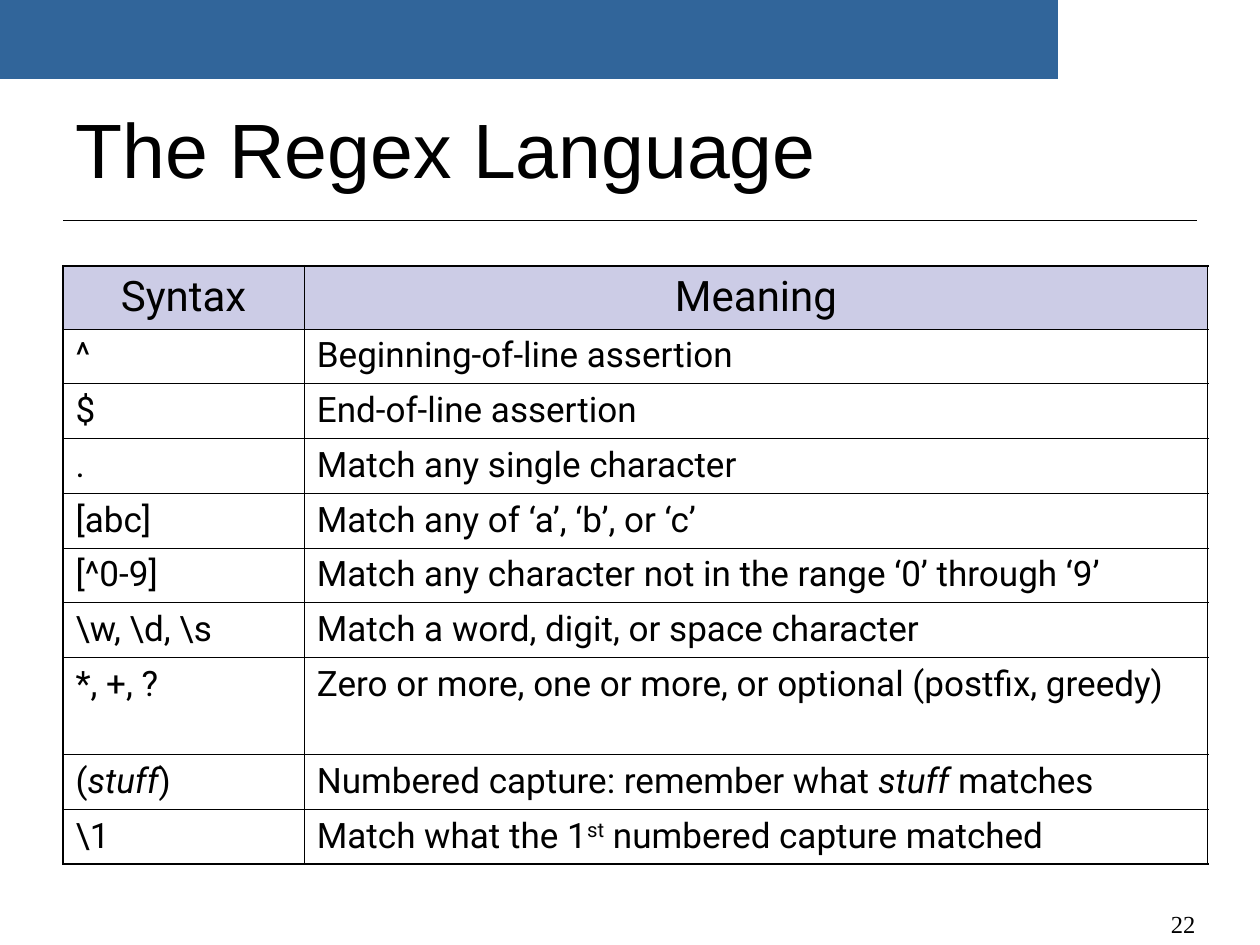
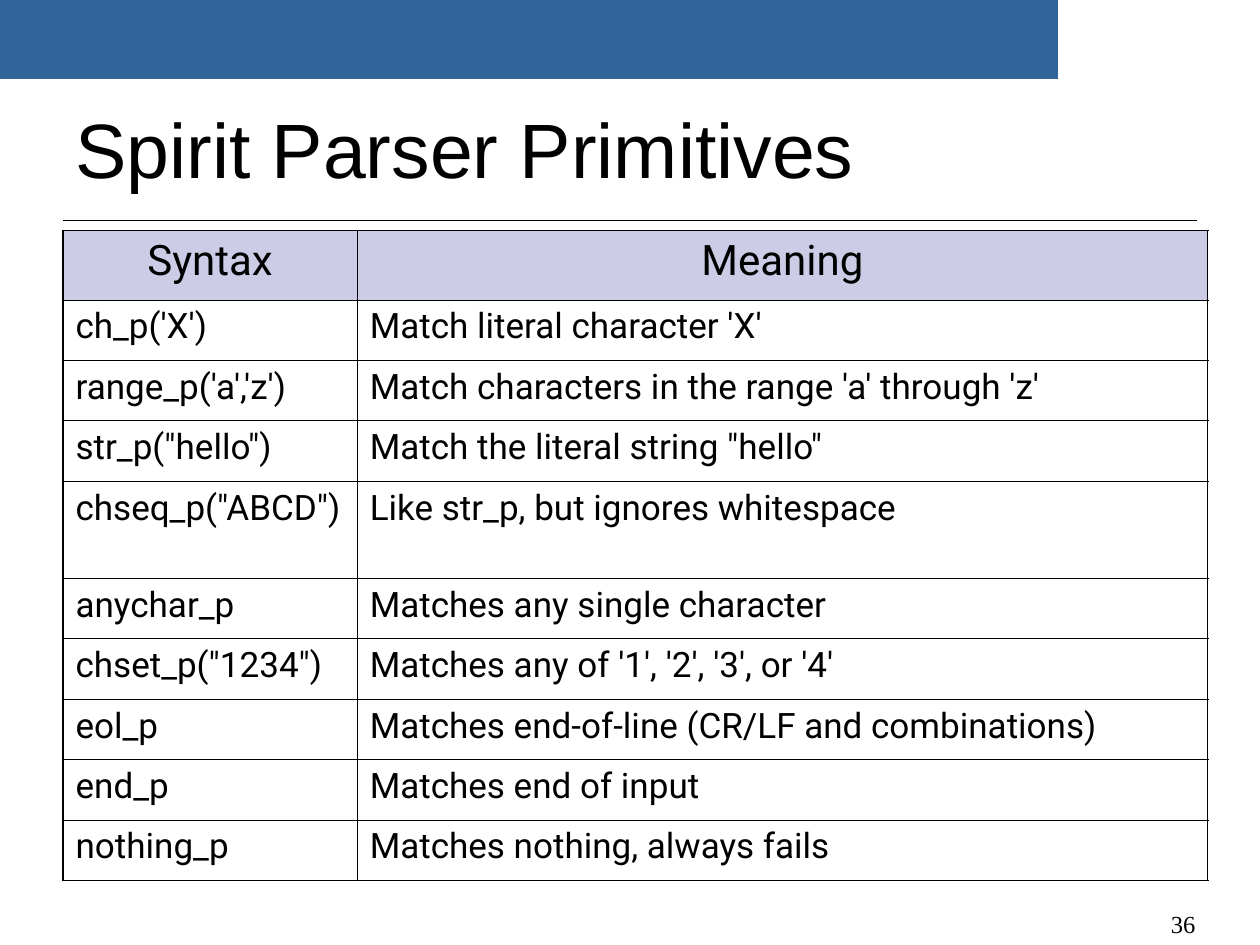
"""Builds two reference slides: regex syntax and Spirit parser primitives."""
from lxml import etree
from pptx import Presentation
from pptx.dml.color import RGBColor
from pptx.enum.shapes import MSO_CONNECTOR, MSO_SHAPE
from pptx.enum.text import MSO_ANCHOR, PP_ALIGN
from pptx.oxml.ns import qn
from pptx.util import Pt

PX = 914400 // 200
PAGE_WIDTH, PAGE_HEIGHT = 2000, 1500

BLACK = RGBColor(0x00, 0x00, 0x00)
BAND_START = RGBColor(0x31, 0x65, 0x9A)
BAND_END = RGBColor(0x34, 0x67, 0x9A)
HEADER_FILL = RGBColor(0xCC, 0xCC, 0xE6)

RECTANGLE = MSO_SHAPE.RECTANGLE
STRAIGHT = MSO_CONNECTOR.STRAIGHT
MIDDLE, BOTTOM = MSO_ANCHOR.MIDDLE, MSO_ANCHOR.BOTTOM
LEFT, CENTER, RIGHT = PP_ALIGN.LEFT, PP_ALIGN.CENTER, PP_ALIGN.RIGHT

TITLE_FONT = {"name": "Arial", "size": Pt(44)}
HEADER_FONT = {"name": "Roboto", "size": Pt(24)}
BODY_FONT = {"name": "Roboto", "size": Pt(20)}
NUMBER_FONT = {"name": "Times New Roman", "size": Pt(14)}

MARGIN = 100
TABLE_WIDTH = 1817
TALL_ROW = 154
OUTER_LINE, INNER_LINE = Pt(1.08), Pt(0.45)
SUPERSCRIPT = "30000"

HEADINGS = ("Syntax", "Meaning")
STUFF = ("stuff", {"italic": True})
REGEX_ROWS = [
    ("^", "Beginning-of-line assertion"),
    ("$", "End-of-line assertion"),
    (".", "Match any single character"),
    ("[abc]", "Match any of ‘a’, ‘b’, or ‘c’"),
    ("[^0-9]", "Match any character not in the range ‘0’ through ‘9’"),
    (r"\w, \d, \s", "Match a word, digit, or space character"),
    ("*, +, ?", "Zero or more, one or more, or optional (postfix, greedy)"),
    (["(", STUFF, ")"],
     ["Numbered capture: remember what ", STUFF, " matches"]),
    (r"\1", ["Match what the 1", ("st", {"baseline": SUPERSCRIPT}),
             " numbered capture matched"]),
]
SPIRIT_ROWS = [
    ("ch_p('X')", "Match literal character 'X'"),
    ("range_p('a','z')", "Match characters in the range 'a' through 'z'"),
    ('str_p("hello")', 'Match the literal string "hello"'),
    ('chseq_p("ABCD")', "Like str_p, but ignores whitespace"),
    ("anychar_p", "Matches any single character"),
    ('chset_p("1234")', "Matches any of '1', '2', '3', or '4'"),
    ("eol_p", "Matches end-of-line (CR/LF and combinations)"),
    ("end_p", "Matches end of input"),
    ("nothing_p", "Matches nothing, always fails"),
]


def px(*lengths):
    """Turn px lengths into a list of EMU lengths."""
    return [length * PX for length in lengths]


def set_attributes(target, values):
    """Set every attribute named in a dict of format values."""
    for name, value in values.items():
        setattr(target, name, value)


def write_text(frame, content, font, align=LEFT):
    """Write one paragraph from a string or a list of plain and formatted spans."""
    para = frame.paragraphs[0]
    para.alignment = align
    for piece in [content] if isinstance(content, str) else content:
        text, extra = (piece, {}) if isinstance(piece, str) else piece
        span = para.add_run()
        span.text = text
        values = {**font, **extra}
        baseline = values.pop("baseline", None)
        set_attributes(span.font, values)
        span.font.color.rgb = BLACK
        if baseline:
            span.font._element.set("baseline", baseline)


def add_text(page, place, content, font, anchor, align=LEFT):
    """Add a wrapping text box."""
    box = page.shapes.add_textbox(*px(*place))
    set_attributes(box.text_frame, {"word_wrap": True, "vertical_anchor": anchor})
    write_text(box.text_frame, content, font, align)


def add_band(page):
    """Add the blue band along the top."""
    band = page.shapes.add_shape(RECTANGLE, *px(0, 0, 1680, 125))
    band.shadow.inherit = False
    band.line.fill.background()
    band.fill.gradient()
    band.fill.gradient_angle = 180
    for stop, color in zip(band.fill.gradient_stops, (BAND_START, BAND_END)):
        stop.color.rgb = color


def add_rule(page):
    """Add the thin rule below the title."""
    rule = page.shapes.add_connector(
        STRAIGHT, *px(MARGIN, 350, PAGE_WIDTH - MARGIN, 350))
    rule.line.color.rgb = BLACK
    rule.line.width = Pt(0.75)
    etree.SubElement(rule._element.spPr, qn("a:effectLst"))


def set_borders(cell, outer_sides):
    """Draw black cell borders, heavier on the table's outer sides."""
    properties = cell._tc.get_or_add_tcPr()
    for side in "LRTB":
        width = OUTER_LINE if side in outer_sides else INNER_LINE
        line = etree.SubElement(properties, qn(f"a:ln{side}"), w=str(width))
        fill = etree.SubElement(line, qn("a:solidFill"))
        etree.SubElement(fill, qn("a:srgbClr"), val=str(BLACK))


def add_syntax_table(page, top, syntax_width, heights, rows):
    """Add a two-column table with a shaded heading row."""
    rows = [HEADINGS, *rows]
    frame = page.shapes.add_table(
        len(rows), 2, *px(MARGIN, top, TABLE_WIDTH, sum(heights)))
    table = frame.table
    set_attributes(table, {"first_row": False, "horz_banding": False})
    widths = px(syntax_width, TABLE_WIDTH - syntax_width)
    for column, width in zip(table.columns, widths):
        column.width = width
    last = len(rows) - 1
    for index, (contents, height) in enumerate(zip(rows, px(*heights))):
        table.rows[index].height = height
        ends = {0: "T", last: "B"}.get(index, "")
        for position, content in enumerate(contents):
            cell = table.cell(index, position)
            set_borders(cell, "LR"[position] + ends)
            if index == 0:
                cell.fill.solid()
                cell.fill.fore_color.rgb = HEADER_FILL
                write_text(cell.text_frame, content, HEADER_FONT, CENTER)
            else:
                cell.fill.background()
                write_text(cell.text_frame, content, BODY_FONT)


def row_heights(header, body, tall_index):
    """List ten row heights, of which one body row is tall."""
    return [header] + [TALL_ROW if index == tall_index else body
                       for index in range(1, 10)]


def add_page(deck, title, number):
    """Add a slide with the shared rule, band, title and page number."""
    page = deck.slides.add_slide(deck.slide_layouts[6])
    add_rule(page)
    add_band(page)
    add_text(page, (MARGIN, 134, 1800, 200), title, TITLE_FONT, MIDDLE)
    add_text(page, (1650, 1396, 267, 104), number, NUMBER_FONT, BOTTOM, RIGHT)
    return page


def main():
    """Build and save the deck."""
    deck = Presentation()
    deck.slide_width, deck.slide_height = px(PAGE_WIDTH, PAGE_HEIGHT)
    page = add_page(deck, "The Regex Language", "22")
    add_syntax_table(page, 422, 383, row_heights(100, 87, 7), REGEX_ROWS)
    page = add_page(deck, "Spirit Parser Primitives", "36")
    add_syntax_table(page, 366, 467, row_heights(110, 96, 4), SPIRIT_ROWS)
    deck.save("out.pptx")


if __name__ == "__main__":
    main()
